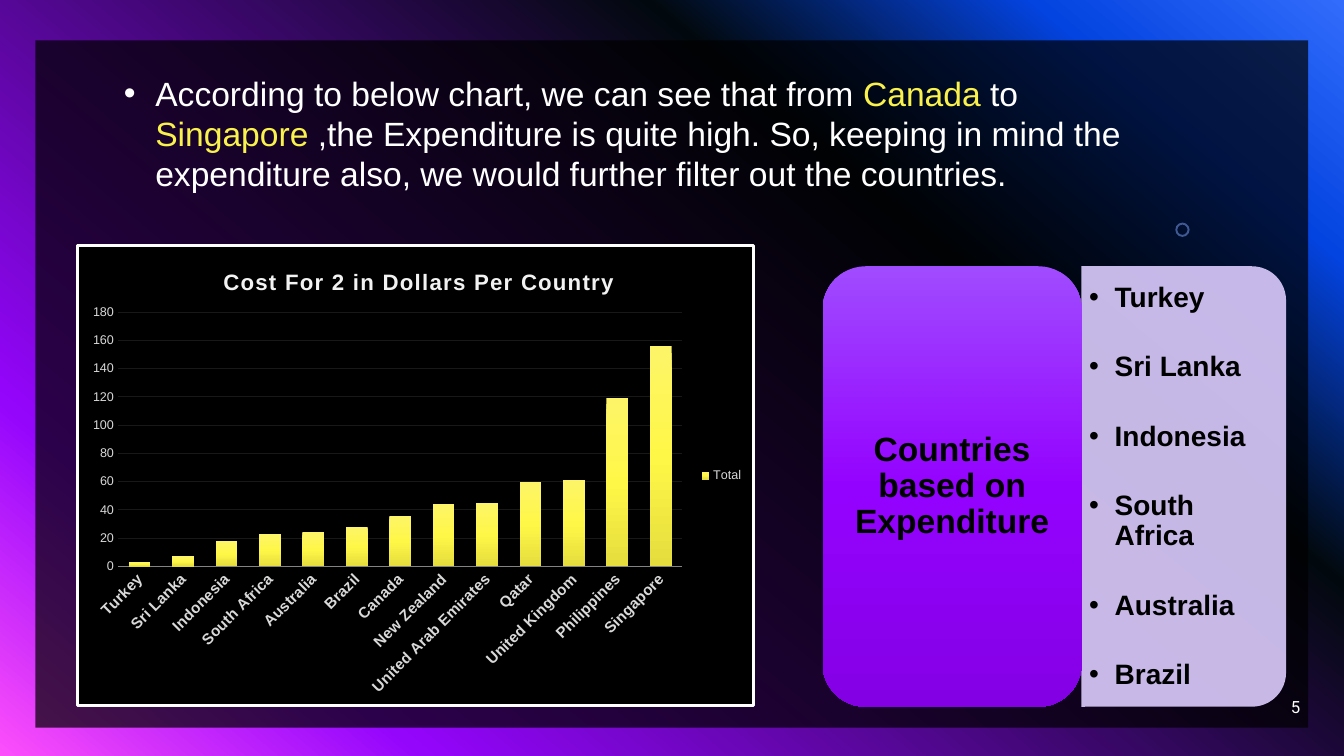
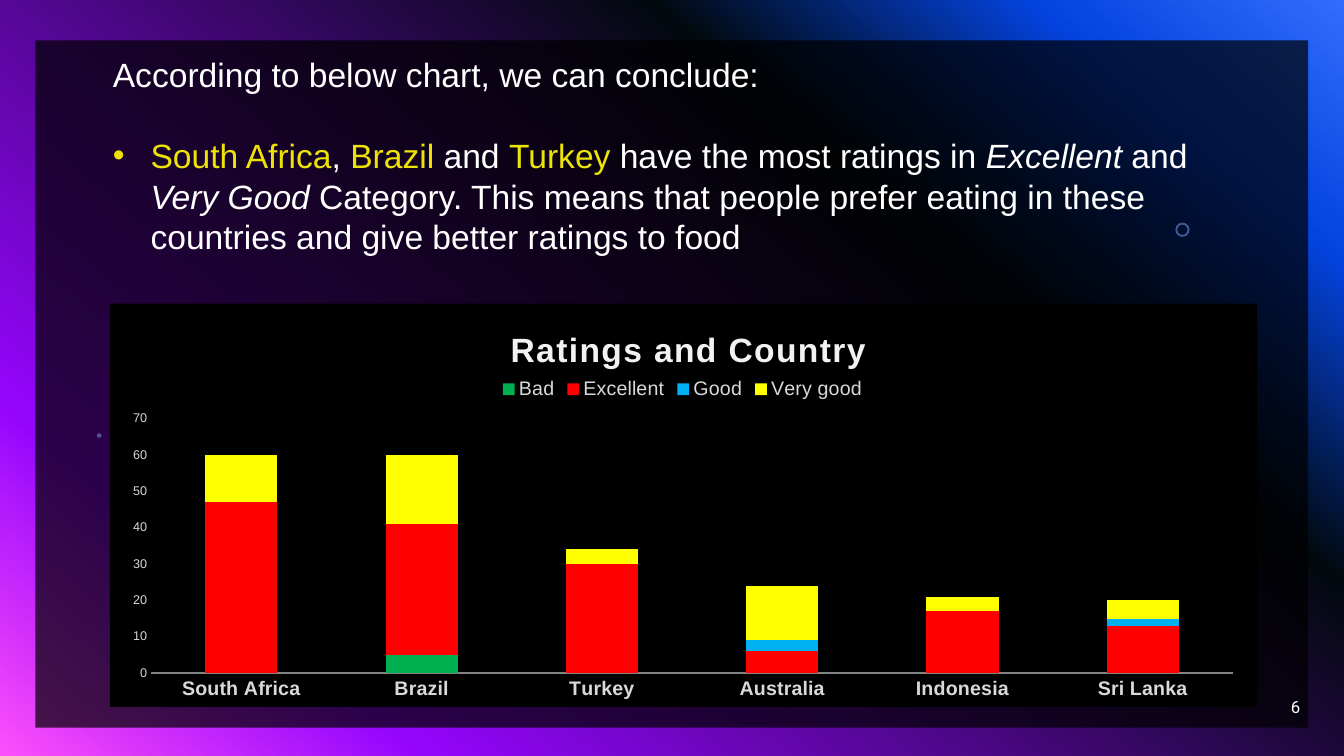
import lxml.etree
import pptx
import pptx.chart.data
import pptx.dml.color
import pptx.enum.chart
import pptx.enum.shapes
import pptx.enum.text
import pptx.oxml.ns
import pptx.util

Cm = pptx.util.Cm
Pt = pptx.util.Pt
RGBColor = pptx.dml.color.RGBColor
qn = pptx.oxml.ns.qn
Shape = pptx.enum.shapes.MSO_SHAPE
ChartType = pptx.enum.chart.XL_CHART_TYPE
LegendPosition = pptx.enum.chart.XL_LEGEND_POSITION
Anchor = pptx.enum.text.MSO_ANCHOR
Align = pptx.enum.text.PP_ALIGN

BLACK = RGBColor(0x00, 0x00, 0x00)
WHITE = RGBColor(0xFF, 0xFF, 0xFF)
LEMON = RGBColor(0xFA, 0xF2, 0x4C)
GOLD = RGBColor(0xEE, 0xE3, 0x07)
SKY = RGBColor(0x83, 0xA7, 0xFD)
LILAC = RGBColor(0xDC, 0xCC, 0xFE)
CHART_TITLE = RGBColor(0xF2, 0xF2, 0xF2)
CHART_LABEL = RGBColor(0xD9, 0xD9, 0xD9)
AXIS_LINE = RGBColor(0x83, 0x83, 0x83)
GRID_LINE = RGBColor(0x18, 0x18, 0x18)
GREEN = RGBColor(0x00, 0xB0, 0x50)
RED = RGBColor(0xFF, 0x00, 0x00)
BLUE = RGBColor(0x00, 0xB0, 0xF0)
YELLOW = RGBColor(0xFF, 0xFF, 0x00)
BACKDROP = [(0, RGBColor(0x31, 0x6C, 0xFC)), (14, RGBColor(0x03, 0x43, 0xDF)),
            (31, RGBColor(0x02, 0x09, 0x0E)), (81, RGBColor(0x94, 0x05, 0xFC)),
            (100, RGBColor(0xFC, 0x4E, 0xFB))]
PURPLE_SHADES = [(0, RGBColor(0xA0, 0x4B, 0xFF)), (50, RGBColor(0x94, 0x02, 0xFF)),
                 (100, RGBColor(0x84, 0x00, 0xE4))]
YELLOW_SHADES = [(0, RGBColor(0xFD, 0xF5, 0x67)), (50, RGBColor(0xFF, 0xF7, 0x47)),
                 (100, RGBColor(0xE5, 0xDD, 0x3D))]

BODY_FONT = {"name": "Arial", "size": Pt(24), "color": WHITE}
CARD_FONT = {"name": "Arial", "size": Pt(24), "bold": True, "color": BLACK}
PAGE_FONT = {"name": "Roboto", "size": Pt(12), "color": WHITE}
LABEL_FONT = {"name": "Arial", "color": CHART_LABEL}


def set_format(target, values):
    for name, value in values.items():
        if name == "color":
            target.color.rgb = value
        else:
            setattr(target, name, value)


def paint_gradient(fill, element, stops, angle):
    fill.gradient()
    fill.gradient_angle = 360 - angle
    stop_list = next(element.iter(qn("a:gsLst")))
    for stop in list(stop_list):
        stop_list.remove(stop)
    for position, color in stops:
        stop = lxml.etree.SubElement(stop_list, qn("a:gs"), pos=str(position * 1000))
        lxml.etree.SubElement(stop, qn("a:srgbClr"), val=str(color))


presentation = pptx.Presentation()
presentation.slide_width = Cm(33.87)
presentation.slide_height = Cm(19.05)
master = presentation.slide_master
paint_gradient(master.background.fill, master.element, BACKDROP, 130)

expenditure_slide = presentation.slides.add_slide(presentation.slide_layouts[3])
ratings_slide = presentation.slides.add_slide(presentation.slide_layouts[1])

decorations = [
    (Shape.RECTANGLE, (0.89, 1.02, 32.08, 17.32), BLACK, 70),
    (Shape.OVAL, (2.44, 10.92, 0.12, 0.11), SKY, 49),
    (Shape.DONUT, (29.62, 5.61, 0.36, 0.36), SKY, 49),
    (Shape.ROUND_2_SAME_RECTANGLE, (24.28, 9.68, 11.1, 5.16), LILAC, 90),
]
for index, (kind, box, color, opacity) in enumerate(decorations):
    shape = expenditure_slide.shapes.add_shape(kind, *map(Cm, box))
    shape.shadow.inherit = False
    shape.fill.solid()
    shape.fill.fore_color.rgb = color
    shape.line.fill.background()
    fill_color = next(shape.element.spPr.iter(qn("a:srgbClr")))
    lxml.etree.SubElement(fill_color, qn("a:alpha"), val=str(opacity * 1000))
    if kind == Shape.DONUT:
        shape.adjustments[0] = 0.14
    if kind == Shape.ROUND_2_SAME_RECTANGLE:
        shape.rotation = 90
    else:
        master.shapes.element.insert(2 + index, shape.element)

card = expenditure_slide.shapes.add_shape(Shape.ROUNDED_RECTANGLE, *map(Cm, (20.73, 6.71, 6.53, 11.1)))
card.shadow.inherit = False
card.line.fill.background()
paint_gradient(card.fill, card.element, PURPLE_SHADES, 90)
card.text_frame.text = "Countries based on Expenditure"
card.text_frame.vertical_anchor = Anchor.MIDDLE
paragraph = card.text_frame.paragraphs[0]
set_format(paragraph, {"alignment": Align.CENTER, "line_spacing": 0.9})
set_format(paragraph.runs[0].font, CARD_FONT)

title = expenditure_slide.shapes.title
title.element.getparent().remove(title.element)
country_list = expenditure_slide.placeholders[2]
expenditure_slide.shapes.element.append(country_list.element)

italic = {"italic": True}
lemon = {"color": LEMON}
gold = {"color": GOLD}
country_names = ["Turkey", "Sri Lanka", "Indonesia", "South Africa", "Australia", "Brazil"]
texts = [
    (expenditure_slide.placeholders[1], (2.87, 1.7, 28.02, 3.33), 0.79, {}, BODY_FONT,
     [[("According to below chart, we can see that from ", {}), ("Canada", lemon), (" to ", {}),
       ("Singapore ", lemon),
       (",the Expenditure is quite high. So, keeping in mind the expenditure also, "
        "we would further filter out the countries.", {})]]),
    (country_list, (27.25, 6.96, 4.9, 10.62), 0.64,
     {"vertical_anchor": Anchor.MIDDLE, "margin_left": Cm(0.2), "margin_right": Cm(0.2),
      "margin_top": Cm(0.1), "margin_bottom": Cm(0.1)},
     {**CARD_FONT, "size": Pt(20)}, [[(name, {})] for name in country_names]),
    (ratings_slide.shapes.title, (2.59, 1.24, 29.51, 2.03), 0,
     {"vertical_anchor": Anchor.TOP}, BODY_FONT,
     [[("According to below chart, we can conclude:", {})]]),
    (ratings_slide.placeholders[1], (2.59, 3.28, 29.51, 3.6), 0.95, {}, BODY_FONT,
     [[("South Africa", gold), (", ", {}), ("Brazil", gold), (" and ", {}), ("Turkey", gold),
       (" have the most ratings in ", {}), ("Excellent", italic), (" and ", {}),
       ("Very Good", italic),
       (" Category. This means that people prefer eating in these countries "
        "and give better ratings to food", {})]]),
]
for placeholder, box, indent, frame_format, font_format, paragraphs in texts:
    set_format(placeholder, dict(zip(("left", "top", "width", "height"), map(Cm, box))))
    frame = placeholder.text_frame
    set_format(frame, {"auto_size": pptx.enum.text.MSO_AUTO_SIZE.NONE, "word_wrap": True, **frame_format})
    for index, runs in enumerate(paragraphs):
        paragraph = frame.add_paragraph() if index else frame.paragraphs[0]
        set_format(paragraph, {"alignment": Align.LEFT, "space_before": Pt(28 if index else 0),
                               "line_spacing": 0.9 if placeholder is country_list else 1.0})
        properties = paragraph._p.get_or_add_pPr()
        properties.set("marL", str(Cm(indent)))
        properties.set("indent", str(-Cm(indent)))
        for text, run_format in runs:
            run = paragraph.add_run()
            run.text = text
            set_format(run.font, {**font_format, **run_format})

charts = [
    {"slide": expenditure_slide, "type": ChartType.COLUMN_CLUSTERED, "box": (1.91, 6.15, 17.12, 11.66),
     "title": "Cost For 2 in Dollars Per Country", "title_size": 16,
     "categories": ["Turkey", "Sri Lanka", "Indonesia", "South Africa", "Australia", "Brazil", "Canada",
                    "New Zealand", "United Arab Emirates", "Qatar", "United Kingdom", "Philippines",
                    "Singapore"],
     "series": [("Total", [3, 7, 18, 23, 24, 28, 36, 44, 45, 60, 61, 119, 156], None)],
     "plot": {"gap_width": 100, "overlap": -24, "vary_by_categories": False},
     "scale": {"minimum_scale": 0, "maximum_scale": 180, "major_unit": 20, "has_major_gridlines": True},
     "category_size": 11, "legend_size": 9, "legend": LegendPosition.RIGHT, "rotation": -45, "border": 2.25,
     "layouts": {"c:plotArea": (0.06, 0.145, 0.835, 0.553), "c:title": (0.21, 0.04)}},
    {"slide": ratings_slide, "type": ChartType.COLUMN_STACKED, "box": (2.77, 7.65, 28.91, 10.16),
     "title": "Ratings and Country", "title_size": 24,
     "categories": ["South Africa", "Brazil", "Turkey", "Australia", "Indonesia", "Sri Lanka"],
     "series": [("Bad", [None, 5, None, None, None, None], GREEN),
                ("Excellent", [47, 36, 30, 6, 17, 13], RED),
                ("Good", [None, None, None, 3, None, 2], BLUE),
                ("Very good", [13, 19, 4, 15, 4, 5], YELLOW)],
     "plot": {"gap_width": 150, "overlap": 100, "vary_by_categories": False},
     "scale": {"minimum_scale": 0, "maximum_scale": 70, "major_unit": 10, "has_major_gridlines": False},
     "category_size": 14, "legend_size": 14, "legend": LegendPosition.TOP, "rotation": 0, "border": 0,
     "layouts": {"c:plotArea": (0.036, 0.285, 0.943, 0.632), "c:title": (0.344, 0.045),
                 "c:legend": (0.337, 0.175)}},
]
for details in charts:
    chart_data = pptx.chart.data.CategoryChartData()
    chart_data.categories = details["categories"]
    for name, values, color in details["series"]:
        chart_data.add_series(name, values)
    frame = details["slide"].shapes.add_chart(details["type"], *map(Cm, details["box"]), chart_data)
    chart = frame.chart
    set_format(chart.font, {"name": "Arial", "size": Pt(10)})

    chart.has_title = True
    chart.chart_title.include_in_layout = False
    chart.chart_title.text_frame.text = details["title"]
    run = chart.chart_title.text_frame.paragraphs[0].runs[0]
    set_format(run.font, {"name": "Arial", "size": Pt(details["title_size"]), "bold": True,
                          "color": CHART_TITLE})
    next(chart.chart_title.element.iter(qn("a:rPr"))).set("spc", "100")

    chart.has_legend = True
    set_format(chart.legend, {"position": details["legend"], "include_in_layout": False})
    set_format(chart.legend.font, {**LABEL_FONT, "size": Pt(details["legend_size"])})

    plot = chart.plots[0]
    set_format(plot, details["plot"])
    for series, (name, values, color) in zip(plot.series, details["series"]):
        if color is None:
            paint_gradient(series.format.fill, chart.element, YELLOW_SHADES, 90)
        else:
            series.format.fill.solid()
            series.format.fill.fore_color.rgb = color

    for axis, size, bold in ((chart.category_axis, details["category_size"], True),
                             (chart.value_axis, 9, False)):
        axis.major_tick_mark = pptx.enum.chart.XL_TICK_MARK.NONE
        set_format(axis.tick_labels.font, {**LABEL_FONT, "size": Pt(size), "bold": bold})
    set_format(chart.category_axis.format.line, {"color": AXIS_LINE, "width": Pt(1)})
    chart.value_axis.format.line.fill.background()
    set_format(chart.value_axis, details["scale"])
    if chart.value_axis.has_major_gridlines:
        set_format(chart.value_axis.major_gridlines.format.line, {"color": GRID_LINE, "width": Pt(0.75)})
    category_element = next(chart.element.iter(qn("c:catAx")))
    next(category_element.iter(qn("a:bodyPr"))).set("rot", str(details["rotation"] * 60000))

    for tag, bounds in details["layouts"].items():
        parent = next(chart.element.iter(qn(tag)))
        for previous in parent.findall(qn("c:layout")):
            parent.remove(previous)
        layout = lxml.etree.Element(qn("c:layout"))
        parent.insert(0 if tag == "c:plotArea" else 1, layout)
        manual = lxml.etree.SubElement(layout, qn("c:manualLayout"))
        if tag == "c:plotArea":
            lxml.etree.SubElement(manual, qn("c:layoutTarget"), val="inner")
        for mode in ("c:xMode", "c:yMode"):
            lxml.etree.SubElement(manual, qn(mode), val="edge")
        for side, value in zip(("c:x", "c:y", "c:w", "c:h"), bounds):
            lxml.etree.SubElement(manual, qn(side), val=str(value))

    area = lxml.etree.Element(qn("c:spPr"))
    chart.element.find(qn("c:chart")).addnext(area)
    area_fill = lxml.etree.SubElement(area, qn("a:solidFill"))
    lxml.etree.SubElement(area_fill, qn("a:srgbClr"), val=str(BLACK))
    border = lxml.etree.SubElement(area, qn("a:ln"), w=str(Pt(details["border"])))
    if details["border"]:
        border_fill = lxml.etree.SubElement(border, qn("a:solidFill"))
        lxml.etree.SubElement(border_fill, qn("a:srgbClr"), val=str(WHITE))
    else:
        lxml.etree.SubElement(border, qn("a:noFill"))

for number, slide in enumerate(presentation.slides, start=5):
    page_box = slide.shapes.add_textbox(*map(Cm, (25.4, 17.3, 7.62, 1.02)))
    set_format(page_box.text_frame, {"text": str(number), "word_wrap": True, "vertical_anchor": Anchor.MIDDLE})
    paragraph = page_box.text_frame.paragraphs[0]
    paragraph.alignment = Align.RIGHT
    set_format(paragraph.runs[0].font, PAGE_FONT)

presentation.save("out.pptx")
